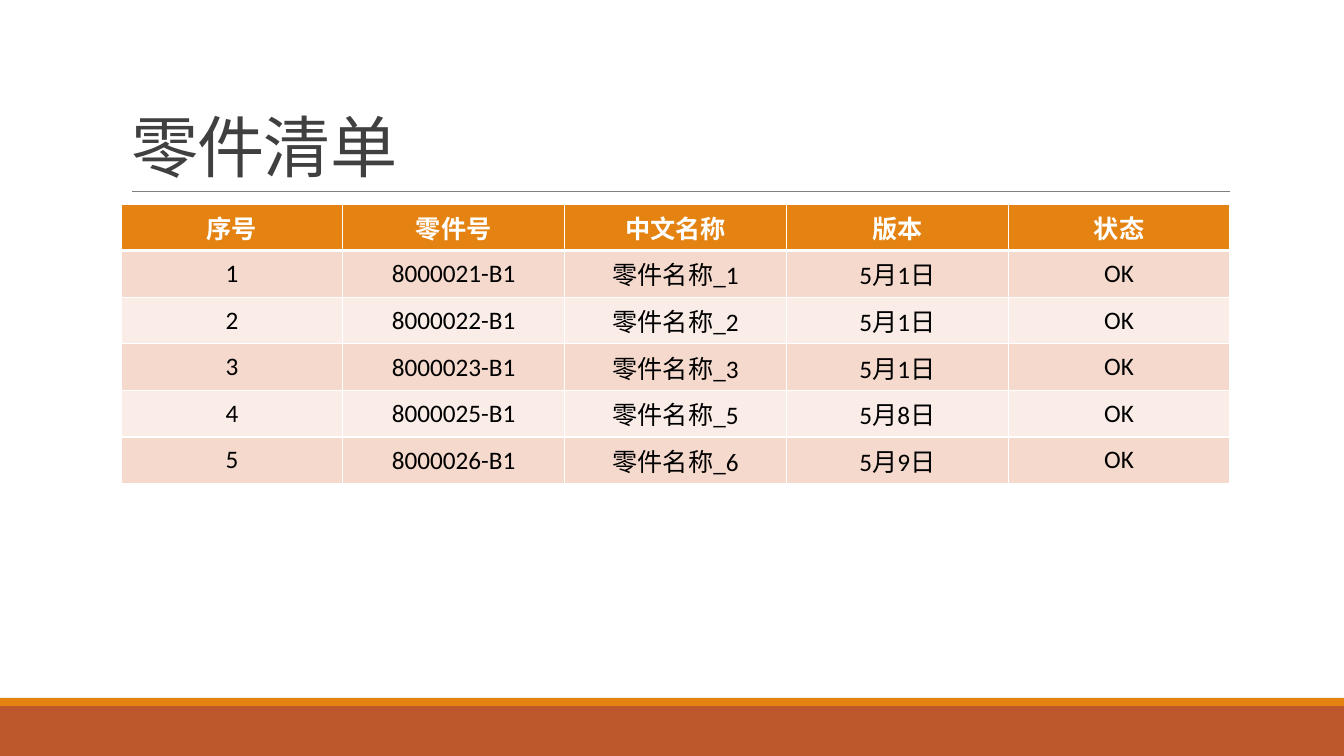
"""Build the parts list slide with its table and footer bands."""
from lxml.etree import SubElement
from pptx import Presentation
from pptx.dml.color import RGBColor
from pptx.enum.shapes import MSO_CONNECTOR, MSO_SHAPE
from pptx.enum.text import MSO_ANCHOR, MSO_AUTO_SIZE, PP_ALIGN
from pptx.oxml.ns import qn
from pptx.util import Emu, Pt

COLORS = {
    "title": "404040", "rule": "808080", "white": "FFFFFF", "text": "000000",
    "orange": "E48312", "rust": "BD582C", "odd": "F5D9CC", "even": "FAEDE7",
}
FONT = "Calibri"
PX = 914400 / 100.8
ROWS = [
    ["序号", "零件号", "中文名称", "版本", "状态"],
    ["1", "8000021-B1", "零件名称_1", "5月1日", "OK"],
    ["2", "8000022-B1", "零件名称_2", "5月1日", "OK"],
    ["3", "8000023-B1", "零件名称_3", "5月1日", "OK"],
    ["4", "8000025-B1", "零件名称_5", "5月8日", "OK"],
    ["5", "8000026-B1", "零件名称_6", "5月9日", "OK"],
]


def px(*lengths):
    return [Emu(round(n * PX)) for n in lengths]


def add_run(p, text, size, color, bold=False):
    r = p.add_run()
    r.text = text
    r.font.name = FONT
    r.font.size = Pt(size)
    r.font.bold = bold
    r.font.color.rgb = RGBColor.from_string(COLORS[color])
    return r


prs = Presentation()
prs.slide_width, prs.slide_height = px(1344, 756)
s = prs.slides.add_slide(prs.slide_layouts[5])

for top, height, color in [(706, 50, "rust"), (698, 8, "orange")]:
    band = s.shapes.add_shape(MSO_SHAPE.RECTANGLE, *px(0, top, 1344, height))
    band.shadow.inherit = False
    band.fill.solid()
    band.fill.fore_color.rgb = RGBColor.from_string(COLORS[color])
    band.line.fill.background()

rule = s.shapes.add_connector(MSO_CONNECTOR.STRAIGHT, *px(132, 191, 1230, 191))
rule.line.color.rgb = RGBColor.from_string(COLORS["rule"])
rule.line.width = Pt(0.5)
SubElement(rule._element.spPr, qn("a:effectLst"))

title = s.shapes.title
title.left, title.top, title.width, title.height = px(121, 31, 1109, 160)
tf = title.text_frame
tf.word_wrap = True
tf.auto_size = MSO_AUTO_SIZE.NONE
tf.vertical_anchor = MSO_ANCHOR.BOTTOM
p = tf.paragraphs[0]
p.alignment = PP_ALIGN.LEFT
p.line_spacing = 0.85
r = add_run(p, "零件清单", 48, "title")
r.font._element.set("spc", "-50")

frame = s.shapes.add_table(len(ROWS), len(ROWS[0]), *px(121, 204, 1109, 246))
table = frame.table
for row in table.rows:
    row.height, = px(41)

for i, values in enumerate(ROWS):
    header = i == 0
    fill = "orange" if header else "odd" if i % 2 else "even"
    for j, value in enumerate(values):
        cell = table.cell(i, j)
        cell.vertical_anchor = MSO_ANCHOR.MIDDLE
        if j == 1 and not header:
            cell.margin_left, cell.margin_right, cell.margin_top, cell.margin_bottom = px(1, 1, 1, 0)
        tc_pr = cell._tc.get_or_add_tcPr()
        for side in "LRTB":
            thick = (side == "B" and header) or (side == "T" and i == 1)
            ln = SubElement(tc_pr, qn(f"a:ln{side}"), w=str(Pt(3 if thick else 1)))
            SubElement(SubElement(ln, qn("a:solidFill")), qn("a:srgbClr"), val=COLORS["white"])
        cell.fill.solid()
        cell.fill.fore_color.rgb = RGBColor.from_string(COLORS[fill])
        p = cell.text_frame.paragraphs[0]
        p.alignment = PP_ALIGN.CENTER
        add_run(p, value, 18, "white" if header else "text", header)

prs.save("out.pptx")
